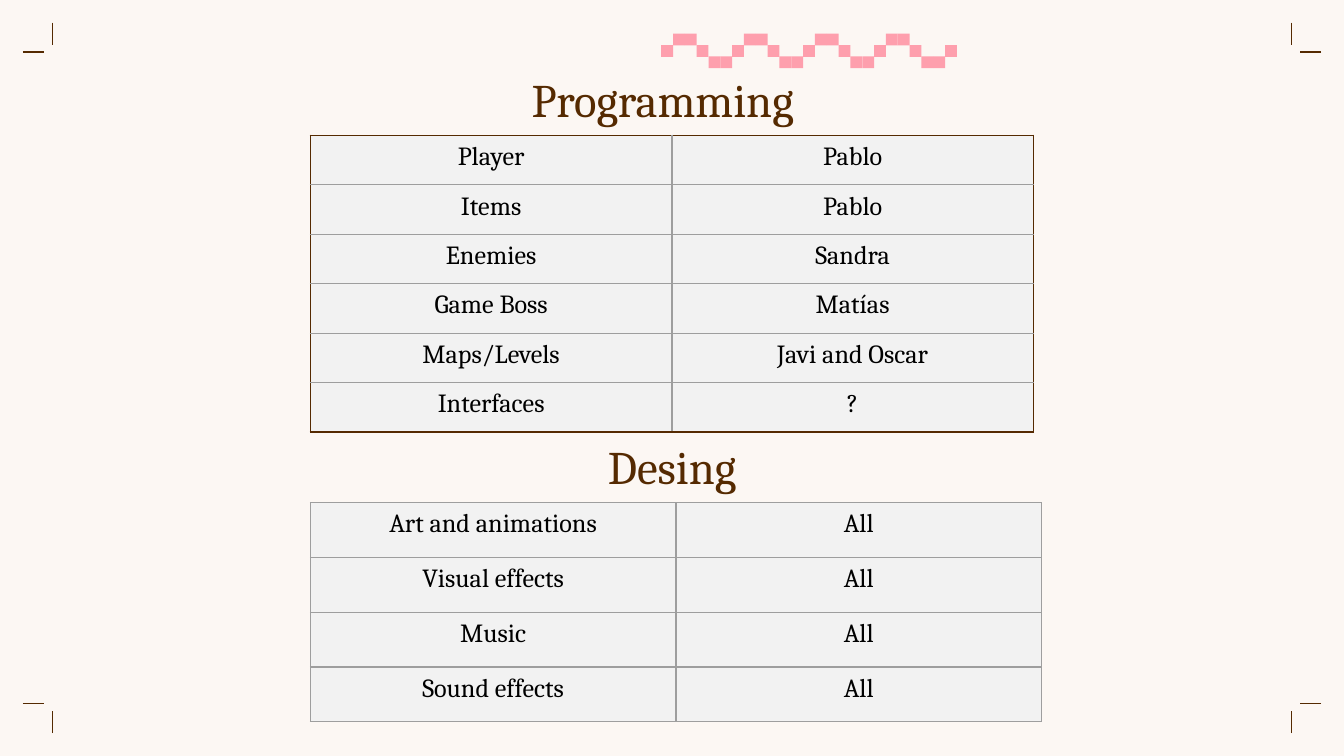
"""Build the slide that shares out the programming and design tasks of a game."""
import dataclasses
import itertools

import pptx
import pptx.dml.color
import pptx.enum.shapes
import pptx.enum.text
import pptx.oxml
import pptx.oxml.ns
import pptx.util


@dataclasses.dataclass(frozen=True)
class Theme:
    """Colours, font and sizes of the slide."""
    paper: str = "FCF7F3"
    brown: str = "552A01"
    pink: str = "FE9FAD"
    grey: str = "9E9E9E"
    cell: str = "F2F2F2"
    black: str = "000000"
    font: str = "Cambria"
    heading: int = 25
    entry: int = 14
    thin: float = 0.75
    thick: float = 1


THEME = Theme()
WIDTH = 10
HEIGHT = WIDTH * 9 / 16
PROGRAMMING = [
    ("Player", "Pablo"),
    ("Items", "Pablo"),
    ("Enemies", "Sandra"),
    ("Game Boss", "Matías"),
    ("Maps/Levels", "Javi and Oscar"),
    ("Interfaces", "?"),
]
DESIGN = [(task, "All") for task in ("Art and animations", "Visual effects", "Music", "Sound effects")]


def across(percent):
    """Turn a percentage of the slide width into a length."""
    return pptx.util.Inches(WIDTH * percent / 100)


def down(percent):
    """Turn a percentage of the slide height into a length."""
    return pptx.util.Inches(HEIGHT * percent / 100)


def area(left, top, width, height):
    """Turn percentages of the slide into a position and size."""
    return across(left), down(top), across(width), down(height)


def colour(value):
    """Turn a hex string into a colour."""
    return pptx.dml.color.RGBColor.from_string(value)


def write(frame, text, size=THEME.entry, ink=THEME.black):
    """Put one centred, formatted line of text into a frame."""
    paragraph = frame.paragraphs[0]
    paragraph.alignment = pptx.enum.text.PP_ALIGN.CENTER
    run = paragraph.add_run()
    run.text = text
    run.font.name = THEME.font
    run.font.size = pptx.util.Pt(size)
    run.font.bold = False
    run.font.color.rgb = colour(ink)


def fill_heading(heading, text, place):
    """Place a heading and give it its text."""
    heading.left, heading.top, heading.width, heading.height = place
    frame = heading.text_frame
    frame.word_wrap = True
    frame.auto_size = pptx.enum.text.MSO_AUTO_SIZE.NONE
    frame.vertical_anchor = pptx.enum.text.MSO_ANCHOR.BOTTOM
    frame.margin_left = frame.margin_right = frame.margin_top = frame.margin_bottom = across(1)
    write(frame, text, size=THEME.heading, ink=THEME.brown)


def add_wave(slide, squares=25, left=49.2, top=4.45, step=0.88, rise=1.51):
    """Draw the wave of pink squares above the heading."""
    levels = itertools.cycle((1, 0, 0, 1, 2, 2))
    for column, level in zip(range(squares), levels):
        square = slide.shapes.add_shape(
            pptx.enum.shapes.MSO_SHAPE.RECTANGLE,
            across(left + column * step), down(top + level * rise), across(step), across(step))
        square.shadow.inherit = False
        square.fill.solid()
        square.fill.fore_color.rgb = colour(THEME.pink)
        square.line.fill.background()


def add_tick(slide, start, end):
    """Draw one short brown line."""
    tick = slide.shapes.add_connector(
        pptx.enum.shapes.MSO_CONNECTOR.STRAIGHT,
        across(start[0]), down(start[1]), across(end[0]), down(end[1]))
    tick.line.color.rgb = colour(THEME.brown)
    tick.line.width = pptx.util.Pt(THEME.thin)
    tick._element.spPr.append(pptx.oxml.parse_xml(f"<a:effectLst {pptx.oxml.ns.nsdecls('a')}/>"))


def add_crop_marks(slide):
    """Draw a pair of ticks mirrored into each corner."""
    ticks = [((1.7, 6.9), (3.3, 6.9)), ((3.9, 3), (3.9, 5.9))]
    for flip_x, flip_y, tick in itertools.product((False, True), (False, True), ticks):
        start, end = [(100 - x if flip_x else x, 100 - y if flip_y else y) for x, y in tick]
        add_tick(slide, start, end)


def add_border(cell, side, ink, width):
    """Draw one side of a cell."""
    cell._tc.get_or_add_tcPr().append(pptx.oxml.parse_xml(
        f'<a:ln{side} {pptx.oxml.ns.nsdecls("a")} w="{pptx.util.Pt(width)}">'
        f'<a:solidFill><a:srgbClr val="{ink}"/></a:solidFill></a:ln{side}>'))


def add_tasks(slide, tasks, place, framed=False):
    """Add a table of tasks and people, with a brown frame if wanted."""
    last_row, last_column = len(tasks) - 1, len(tasks[0]) - 1
    table = slide.shapes.add_table(last_row + 1, last_column + 1, *place).table
    table.first_row = table.horz_banding = False
    for row, entries in enumerate(tasks):
        for column, entry in enumerate(entries):
            cell = table.cell(row, column)
            outer = {"L": column == 0, "R": column == last_column, "T": row == 0, "B": row == last_row}
            for side, is_outer in outer.items():
                if framed and is_outer:
                    add_border(cell, side, THEME.brown, THEME.thick)
                else:
                    add_border(cell, side, THEME.grey, THEME.thin)
            cell.fill.solid()
            cell.fill.fore_color.rgb = colour(THEME.cell)
            write(cell.text_frame, entry)


def main():
    """Build and save the slide."""
    deck = pptx.Presentation()
    deck.slide_width, deck.slide_height = across(100), down(100)
    slide = deck.slides.add_slide(deck.slide_layouts[5])
    slide.background.fill.solid()
    slide.background.fill.fore_color.rgb = colour(THEME.paper)
    add_wave(slide)
    add_crop_marks(slide)
    add_tasks(slide, PROGRAMMING, area(23.1, 17.9, 53.8, 39.3), framed=True)
    fill_heading(slide.shapes.title, "Programming", area(37.1, 8.9, 24.4, 9.6))
    design_place = area(43.4, 59.1, 13.2, 8)
    fill_heading(slide.shapes.add_textbox(*design_place), "Desing", design_place)
    add_tasks(slide, DESIGN, area(23.1, 66.5, 54.4, 29))
    deck.save("out.pptx")


if __name__ == "__main__":
    main()
